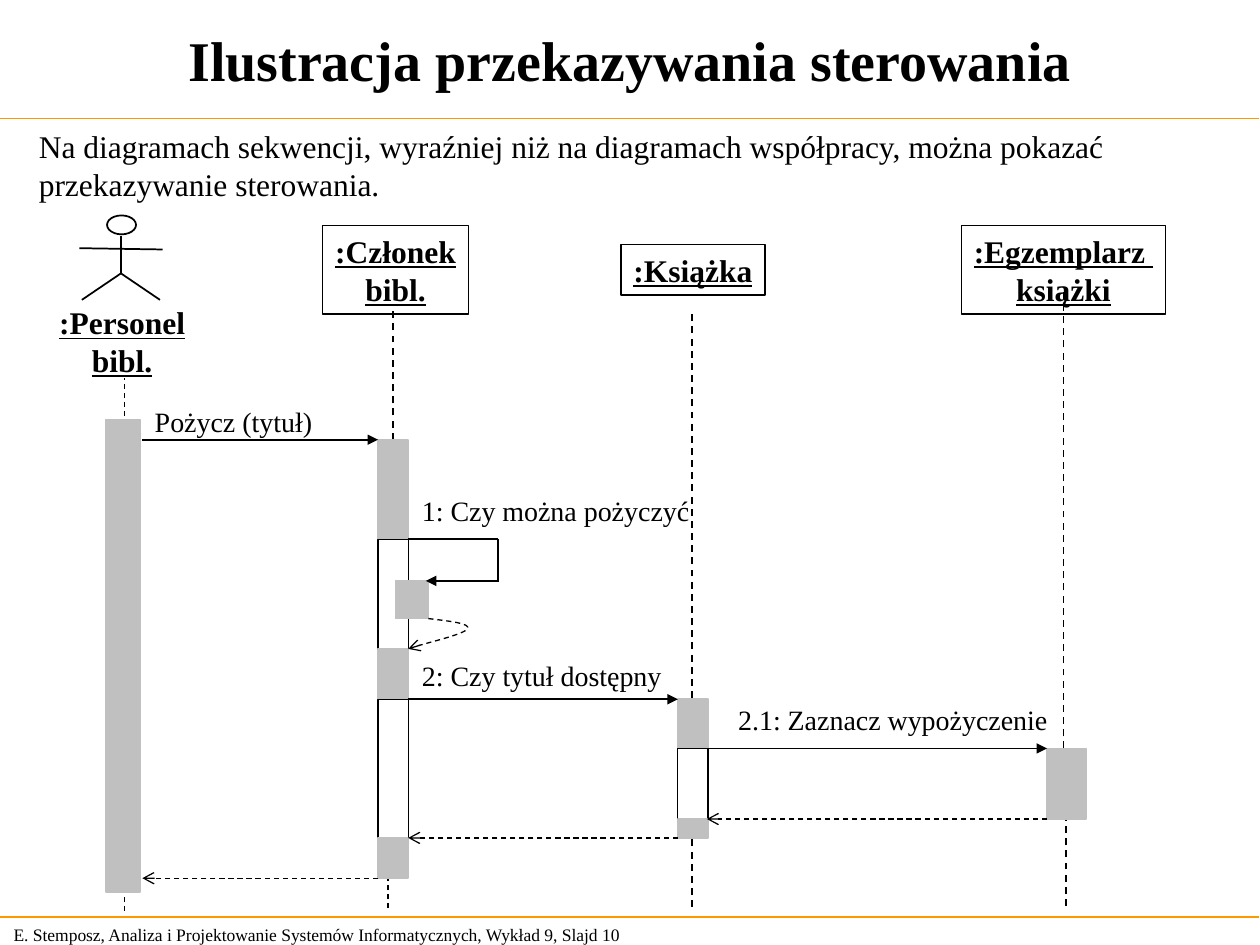
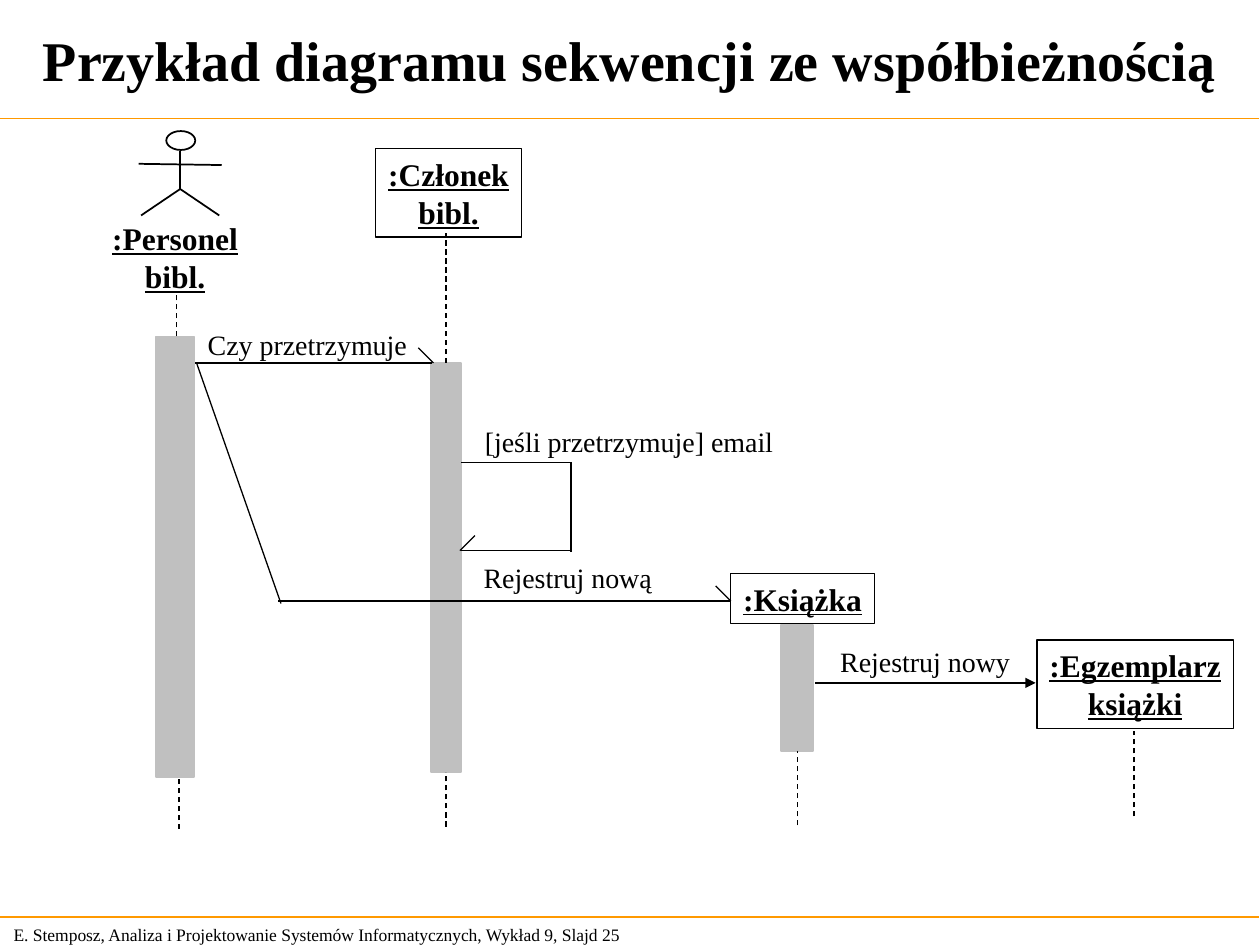
import pptx
import pptx.dml.color
import pptx.enum.dml
import pptx.enum.shapes
import pptx.enum.text
import pptx.oxml.ns
import pptx.util

COLOURS = {"ink": "000000", "rule": "FF9900", "bar": "C0C0C0", "paper": "FFFFFF"}
FONT = "Times New Roman"
STYLES = {
    "title": {"size": pptx.util.Pt(32), "bold": True},
    "body": {"size": pptx.util.Pt(18)},
    "participant": {"size": pptx.util.Pt(18), "bold": True, "underline": True},
    "message": {"size": pptx.util.Pt(16)},
    "footer": {"size": pptx.util.Pt(10)},
}
THIN, MEDIUM = 0.75, 1
SHAPES = pptx.enum.shapes.MSO_SHAPE
LEFT, CENTER = pptx.enum.text.PP_ALIGN.LEFT, pptx.enum.text.PP_ALIGN.CENTER
TOP, MIDDLE = pptx.enum.text.MSO_ANCHOR.TOP, pptx.enum.text.MSO_ANCHOR.MIDDLE


def colour(name):
    """Return the named colour as an RGB value."""
    return pptx.dml.color.RGBColor.from_string(COLOURS[name])


def lengths(*values):
    """Return the values as a list of lengths in inches."""
    return [pptx.util.Inches(value) for value in values]


def write(frame, text, style, align=LEFT, anchor=TOP, wrap=False):
    """Put styled text into a text frame, one paragraph per line."""
    frame.text = text
    layout = {
        "word_wrap": wrap,
        "vertical_anchor": anchor,
        "margin_left": pptx.util.Inches(0.1),
        "margin_right": pptx.util.Inches(0.1),
        "margin_top": pptx.util.Inches(0.05),
        "margin_bottom": pptx.util.Inches(0.05),
    }
    for attribute, value in layout.items():
        setattr(frame, attribute, value)
    for paragraph in frame.paragraphs:
        paragraph.alignment = align
        for run in paragraph.runs:
            for attribute, value in {"name": FONT, **STYLES[style]}.items():
                setattr(run.font, attribute, value)
            run.font.color.rgb = colour("ink")


def label(slide, text, style, left, top, width, height, **layout):
    """Add a text box."""
    box = slide.shapes.add_textbox(*lengths(left, top, width, height))
    write(box.text_frame, text, style, **layout)


def message_text(slide, text, left, top, width):
    """Add the one-line caption of a message."""
    label(slide, text, "message", left, top, width, 0.37)


def stroke(line, width, ink="ink", dashed=False, head=None):
    """Format an outline or line, with an optional arrowhead at its end."""
    line.width = pptx.util.Pt(width)
    line.color.rgb = colour(ink)
    if dashed:
        line.dash_style = pptx.enum.dml.MSO_LINE.DASH
    if head:
        pen = line._get_or_add_ln()
        pen.append(pen.makeelement(pptx.oxml.ns.qn("a:tailEnd"), {"type": head}))


def link(slide, start, end, width=MEDIUM, **look):
    """Draw a straight line between two points."""
    line = slide.shapes.add_connector(
        pptx.enum.shapes.MSO_CONNECTOR.STRAIGHT, *lengths(*start, *end))
    stroke(line.line, width, **look)
    properties = line._element.spPr
    properties.append(properties.makeelement(pptx.oxml.ns.qn("a:effectLst"), {}))


def lifeline(slide, x, top, bottom, width=THIN):
    """Draw a dashed vertical lifeline segment."""
    link(slide, (x, bottom), (x, top), width, dashed=True)


def outline(slide, kind, left, top, width, height, weight=MEDIUM, fill=None):
    """Add a preset shape, filled in one colour or left hollow."""
    shape = slide.shapes.add_shape(kind, *lengths(left, top, width, height))
    shape.shadow.inherit = False
    if fill:
        shape.fill.solid()
        shape.fill.fore_color.rgb = colour(fill)
    else:
        shape.fill.background()
    stroke(shape.line, weight, fill or "ink")
    return shape


def participant(slide, text, left, top, width, height=0.7, weight=MEDIUM):
    """Add the box that names an object."""
    box = outline(slide, SHAPES.RECTANGLE, left, top, width, height, weight)
    write(box.text_frame, text, "participant", align=CENTER, anchor=MIDDLE)


def activation(slide, left, width, edges):
    """Stack activation bars between edges, active and waiting in turn."""
    for index, (top, bottom) in enumerate(zip(edges, edges[1:])):
        weight, fill = (THIN, None) if index % 2 else (MEDIUM, "bar")
        outline(slide, SHAPES.RECTANGLE, left, top, width, bottom - top, weight, fill)


def actor(slide, x, top, label_left):
    """Draw the staff stick figure with its name."""
    outline(slide, SHAPES.OVAL, x - 0.11, top, 0.23, 0.15)
    hip = (x, top + 0.46)
    link(slide, (x, top + 0.16), hip)
    link(slide, (x - 0.33, top + 0.26), (x + 0.33, top + 0.27))
    for side in (0.31, -0.31):
        link(slide, hip, (x + side, top + 0.67))
    label(slide, ":Personel\nbibl.", "participant",
          label_left, top + 0.65, 1.2, 0.7, align=CENTER)


def self_call(slide, start, right, end, head=None):
    """Draw a message that loops back to its sender."""
    link(slide, start, (right, start[1]))
    link(slide, (right, start[1]), (right, end[1] + 0.01))
    link(slide, (right, end[1]), end, head=head)


def half_head(slide, tip, direction):
    """Draw the single barb of an asynchronous message."""
    x, y = tip
    link(slide, (x - 0.12 * direction, y - 0.12), tip, THIN)


def return_curve(slide, start, *controls):
    """Draw a dashed curved return made of cubic segments."""
    builder = slide.shapes.build_freeform(*lengths(*start))
    builder.add_line_segments([lengths(*point) for point in controls], close=False)
    curve = builder.convert_to_shape()
    curve.shadow.inherit = False
    curve.fill.background()
    stroke(curve.line, THIN, dashed=True, head="arrow")
    qn = pptx.oxml.ns.qn
    track = next(curve._element.iter(qn("a:path")))
    segments = track.findall(qn("a:lnTo"))
    for first in range(0, len(segments), 3):
        cubic = track.makeelement(qn("a:cubicBezTo"), {})
        for segment in segments[first:first + 3]:
            cubic.append(segment[0])
            track.remove(segment)
        track.append(cubic)


def new_slide(deck, title, number):
    """Add a slide with the shared title, rules and footer."""
    slide = deck.slides.add_slide(deck.slide_layouts[6])
    slide.background.fill.solid()
    slide.background.fill.fore_color.rgb = colour("paper")
    footer = ("E. Stemposz, Analiza i Projektowanie Systemów Informatycznych, "
              f"Wykład 9, Slajd {number}")
    label(slide, footer, "footer", 0.01, 7.28, 5.24, 0.27, anchor=MIDDLE, wrap=True)
    for y in (0.94, 7.28):
        link(slide, (-0.01, y), (9.99, y), MEDIUM, ink="rule")
    label(slide, title, "title", 0.04, 0.04, 9.92, 0.85,
          align=CENTER, anchor=MIDDLE, wrap=True)
    return slide


def control_slide(deck):
    """Build the slide on passing control."""
    slide = new_slide(deck, "Ilustracja przekazywania sterowania", 10)
    label(slide, "Na diagramach sekwencji, wyraźniej niż na diagramach współpracy, "
          "można pokazać\nprzekazywanie sterowania.", "body", 0.21, 0.96, 9, 0.7)
    actor(slide, 0.96, 1.71, 0.37)
    participant(slide, ":Członek\nbibl.", 2.56, 1.79, 1.16)
    participant(slide, ":Książka", 4.93, 1.94, 1.14, 0.4)
    participant(slide, ":Egzemplarz \nksiążki", 7.63, 1.79, 1.62)

    for x, top, bottom, width in (
            (0.99, 3, 3.3, THIN), (0.99, 7.08, 7.23, THIN),
            (3.12, 2.46, 3.49, MEDIUM), (3.08, 6.97, 7.21, THIN),
            (5.49, 2.46, 5.54, MEDIUM), (5.49, 6.65, 7.2, MEDIUM),
            (8.44, 2.3, 5.94, MEDIUM), (8.46, 6.5, 7.19, MEDIUM)):
        lifeline(slide, x, top, bottom, width)

    for left, width, edges in (
            (0.84, 0.27, (3.33, 7.08)),
            (3, 0.24, (3.49, 4.28, 5.15, 5.55, 6.65, 6.97)),
            (3.14, 0.26, (4.61, 4.91)),
            (5.38, 0.24, (5.55, 5.94, 6.5, 6.65)),
            (8.31, 0.31, (5.94, 6.5))):
        activation(slide, left, width, edges)

    for sender, receiver, y in ((1.13, 3, 3.49), (3.24, 5.38, 5.55), (5.61, 8.31, 5.94)):
        link(slide, (sender, y), (receiver, y), head="triangle")
    for sender, receiver, y in ((8.31, 5.61, 6.5), (5.38, 3.24, 6.65), (3, 1.13, 6.97)):
        link(slide, (sender, y), (receiver, y), THIN, dashed=True, head="arrow")
    self_call(slide, (3.24, 4.28), 3.95, (3.38, 4.61), head="triangle")
    return_curve(slide, (3.4, 4.91), (3.57, 4.93), (3.74, 4.95), (3.71, 4.99),
                 (3.69, 5.03), (3.32, 5.12), (3.24, 5.15))

    for text, left, top, width in (
            ("Pożycz (tytuł)", 1.13, 3.16, 1.6),
            ("1: Czy można pożyczyć", 3.25, 3.87, 2.5),
            ("2: Czy tytuł dostępny", 3.25, 5.18, 2.25),
            ("2.1: Zaznacz wypożyczenie", 5.76, 5.53, 2.85)):
        message_text(slide, text, left, top, width)


def concurrency_slide(deck):
    """Build the slide with the concurrent sequence diagram."""
    slide = new_slide(deck, "Przykład diagramu sekwencji ze współbieżnością", 25)
    actor(slide, 1.43, 1.04, 0.79)
    participant(slide, ":Członek\nbibl.", 2.98, 1.18, 1.16)
    participant(slide, ":Książka", 5.8, 4.55, 1.14, 0.4, THIN)
    participant(slide, ":Egzemplarz\nksiążki", 8.23, 5.08, 1.56, weight=THIN)

    for left, width, top, bottom in (
            (1.24, 0.3, 2.67, 6.17), (3.42, 0.24, 2.88, 6.13), (6.2, 0.25, 4.96, 5.96)):
        activation(slide, left, width, (top, bottom))
    for x, top, bottom in (
            (1.4, 2.33, 2.67), (1.42, 6.17, 6.58), (3.54, 1.85, 2.88),
            (3.54, 6.13, 6.56), (6.33, 5.96, 6.55), (9, 5.8, 6.48)):
        lifeline(slide, x, top, bottom)

    link(slide, (1.55, 2.88), (3.43, 2.88))
    link(slide, (1.56, 2.88), (2.23, 4.79), THIN)
    link(slide, (2.21, 4.77), (5.79, 4.77), THIN)
    link(slide, (6.47, 5.42), (8.22, 5.42), THIN, head="triangle")
    self_call(slide, (3.66, 3.67), 4.53, (3.66, 4.37))
    for tip, direction in (((3.44, 2.88), 1), ((3.65, 4.37), -1), ((5.8, 4.77), 1)):
        half_head(slide, tip, direction)

    for text, left, top, width in (
            ("Czy przetrzymuje", 1.55, 2.55, 1.95),
            ("[jeśli przetrzymuje] email", 3.75, 3.32, 2.7),
            ("Rejestruj nową", 3.74, 4.4, 1.7),
            ("Rejestruj nowy", 6.57, 5.07, 1.7)):
        message_text(slide, text, left, top, width)


def main():
    """Build and save the two-slide deck."""
    deck = pptx.Presentation()
    deck.slide_width, deck.slide_height = lengths(10, 7.5)
    control_slide(deck)
    concurrency_slide(deck)
    deck.save("out.pptx")


if __name__ == "__main__":
    main()
